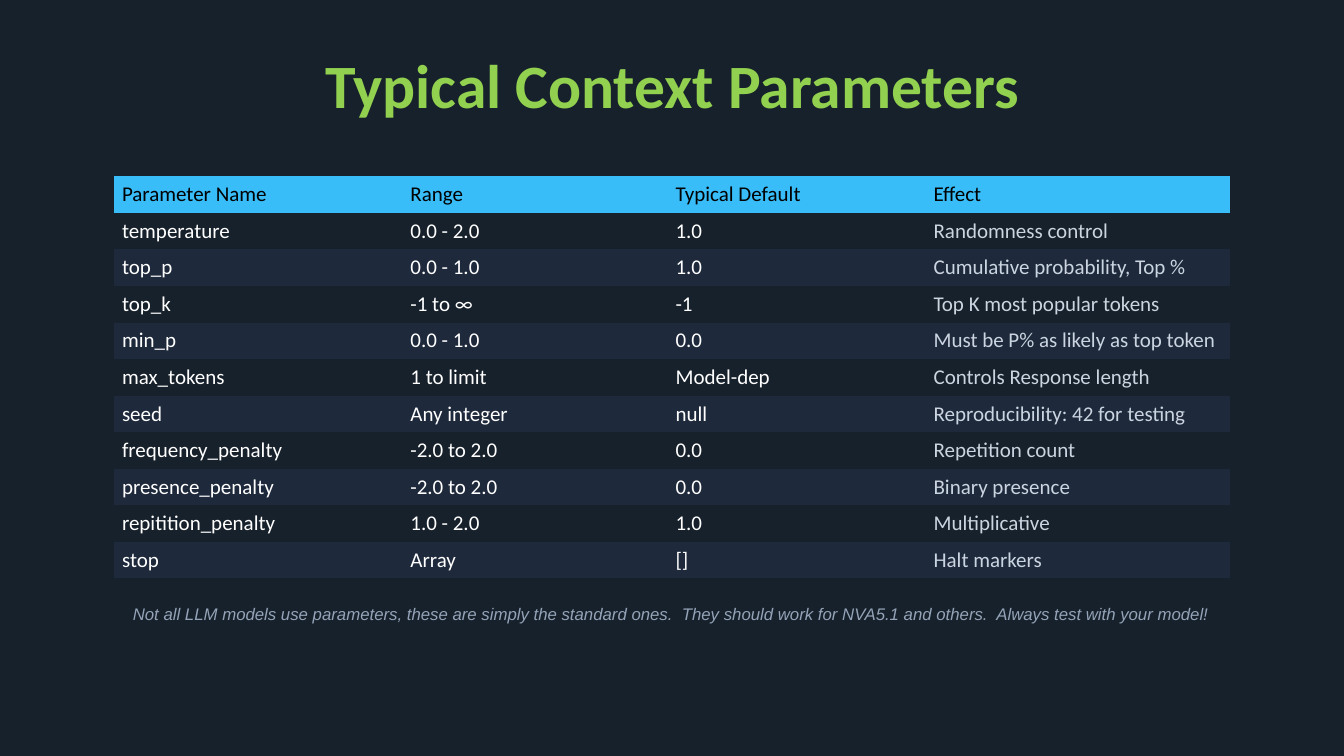
"""Build the slide of typical context parameters."""
import dataclasses

import pptx
import pptx.dml.color
import pptx.enum.text
import pptx.oxml.ns
import pptx.util


@dataclasses.dataclass(frozen=True)
class Theme:
    """Colours, fonts and type sizes of the slide."""

    background: str = "17212B"
    title: str = "92D050"
    header_fill: str = "38BDF8"
    header_text: str = "000000"
    stripe_fill: str = "1E293B"
    body_text: str = "FFFFFF"
    effect_text: str = "CBD5E1"
    note: str = "94A3B8"
    main_font: str = "Calibri"
    note_font: str = "Arial"
    title_size: int = 44
    table_size: int = 15
    note_size: int = 12


THEME = Theme()
SLIDE_WIDTH = pptx.util.Inches(13.33)
SLIDE_HEIGHT = pptx.util.Inches(7.5)
NO_TABLE_STYLE = "{2D5ABB26-0587-4C30-8999-92F81FD0307C}"

TITLE_AREA = (8.48, 5.33, 83.12, 11.47)
TABLE_AREA = (8.48, 23.33, 83.05, 53.2)
NOTE_AREA = (8.1, 79.2, 83.72, 4)
COLUMN_SHARES = (21.46, 19.73, 19.2, 22.66)

TITLE = "Typical Context Parameters"
NOTE = (
    "Not all LLM models use parameters, these are simply the standard ones.  "
    "They should work for NVA5.1 and others.  Always test with your model!"
)
PARAMETERS = (
    ("Parameter Name", "Range", "Typical Default", "Effect"),
    ("temperature", "0.0 - 2.0", "1.0", "Randomness control"),
    ("top_p", "0.0 - 1.0", "1.0", "Cumulative probability, Top %"),
    ("top_k", "-1 to ∞", "-1", "Top K most popular tokens"),
    ("min_p", "0.0 - 1.0", "0.0", "Must be P% as likely as top token"),
    ("max_tokens", "1 to limit", "Model-dep", "Controls Response length"),
    ("seed", "Any integer", "null", "Reproducibility: 42 for testing"),
    ("frequency_penalty", "-2.0 to 2.0", "0.0", "Repetition count"),
    ("presence_penalty", "-2.0 to 2.0", "0.0", "Binary presence"),
    ("repitition_penalty", "1.0 - 2.0", "1.0", "Multiplicative"),
    ("stop", "Array", "[]", "Halt markers"),
)


def across(percent):
    """Return a share of the slide's width."""
    return round(SLIDE_WIDTH * percent / 100)


def down(percent):
    """Return a share of the slide's height."""
    return round(SLIDE_HEIGHT * percent / 100)


def place(area):
    """Turn an area in percent into left, top, width and height."""
    left, top, width, height = area
    return across(left), down(top), across(width), down(height)


def apply_format(target, values):
    """Set each attribute in values on target."""
    for name, value in values.items():
        setattr(target, name, value)


def paint(fill, color):
    """Fill with a solid colour, or with nothing when there is none."""
    if color is None:
        fill.background()
    else:
        fill.solid()
        fill.fore_color.rgb = pptx.dml.color.RGBColor.from_string(color)


def write(paragraph, text, color, **font_values):
    """Write one run with its colour and font values."""
    run = paragraph.add_run()
    run.text = text
    run.font.color.rgb = pptx.dml.color.RGBColor.from_string(color)
    apply_format(run.font, font_values)


def add_centered_text(slide, area, text, color, **font_values):
    """Add a text box with one centred line."""
    frame = slide.shapes.add_textbox(*place(area)).text_frame
    apply_format(frame, {
        "word_wrap": True,
        "vertical_anchor": pptx.enum.text.MSO_ANCHOR.MIDDLE,
    })
    paragraph = frame.paragraphs[0]
    paragraph.alignment = pptx.enum.text.PP_ALIGN.CENTER
    write(paragraph, text, color, **font_values)


def cell_colors(row, column):
    """Return the fill and text colours for a place in the table."""
    if row == 0:
        return THEME.header_fill, THEME.header_text
    fill = THEME.stripe_fill if row % 2 == 0 else None
    is_effect = column == len(COLUMN_SHARES) - 1
    return fill, THEME.effect_text if is_effect else THEME.body_text


def format_cell(cell, text, fill, color):
    """Set the margins, fill and text of a cell."""
    side, edge = pptx.util.Inches(0.08), pptx.util.Inches(0.04)
    apply_format(cell, {
        "margin_left": side,
        "margin_right": side,
        "margin_top": edge,
        "margin_bottom": edge,
        "vertical_anchor": pptx.enum.text.MSO_ANCHOR.MIDDLE,
    })
    paint(cell.fill, fill)
    write(cell.text_frame.paragraphs[0], text, color,
          name=THEME.main_font, size=pptx.util.Pt(THEME.table_size))


def add_parameter_table(slide):
    """Add the table of parameters with equal rows."""
    frame = slide.shapes.add_table(
        len(PARAMETERS), len(COLUMN_SHARES), *place(TABLE_AREA))
    table = frame.table
    apply_format(table, {"first_row": False, "horz_banding": False})
    style_tag = pptx.oxml.ns.qn("a:tableStyleId")
    next(frame.element.iter(style_tag)).text = NO_TABLE_STYLE
    for column, share in zip(table.columns, COLUMN_SHARES):
        column.width = across(share)
    for row, texts in enumerate(PARAMETERS):
        table.rows[row].height = down(TABLE_AREA[3] / len(PARAMETERS))
        for column, text in enumerate(texts):
            format_cell(table.cell(row, column), text,
                        *cell_colors(row, column))


def main():
    """Build and save the presentation."""
    presentation = pptx.Presentation()
    apply_format(presentation, {
        "slide_width": SLIDE_WIDTH,
        "slide_height": SLIDE_HEIGHT,
    })
    slide = presentation.slides.add_slide(presentation.slide_layouts[6])
    paint(slide.background.fill, THEME.background)
    add_parameter_table(slide)
    add_centered_text(slide, TITLE_AREA, TITLE, THEME.title, bold=True,
                      name=THEME.main_font,
                      size=pptx.util.Pt(THEME.title_size))
    add_centered_text(slide, NOTE_AREA, NOTE, THEME.note, italic=True,
                      name=THEME.note_font,
                      size=pptx.util.Pt(THEME.note_size))
    presentation.save("out.pptx")


if __name__ == "__main__":
    main()
